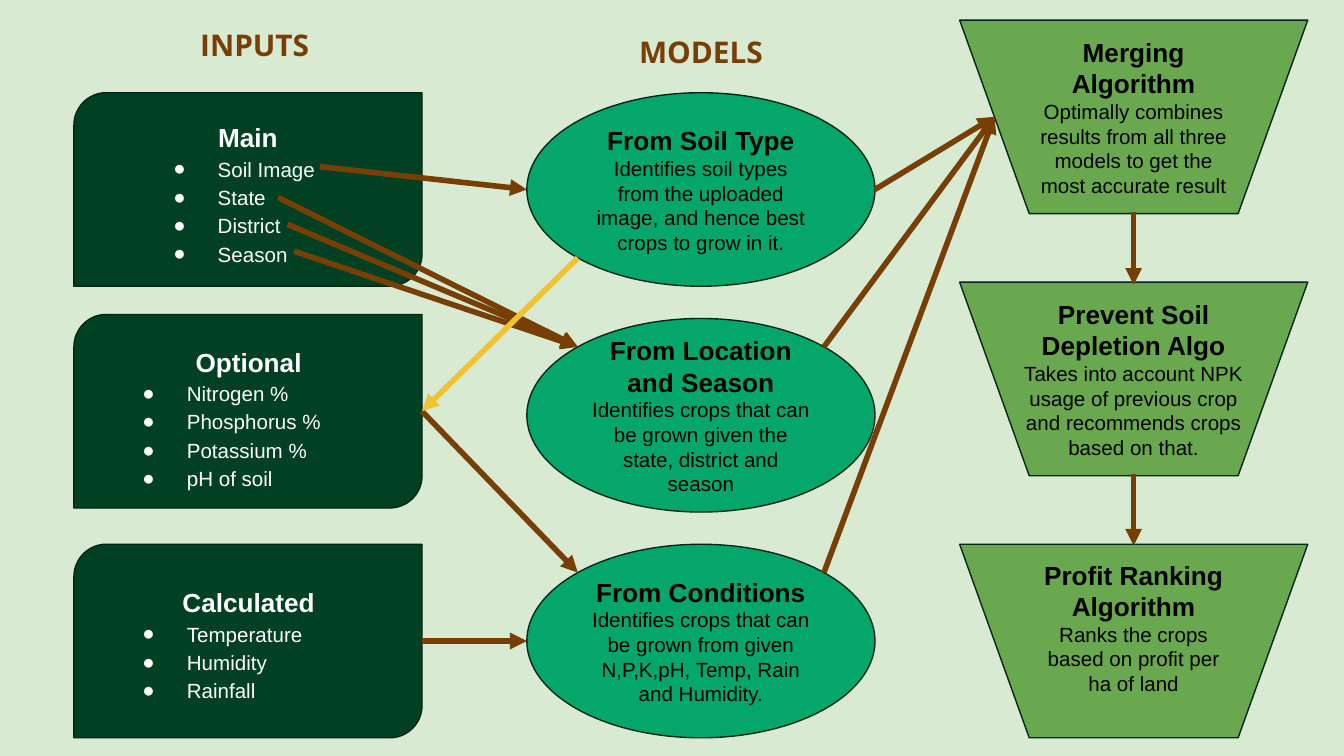
from lxml.etree import SubElement
from pptx import Presentation
from pptx.dml.color import RGBColor
from pptx.enum.shapes import MSO_CONNECTOR, MSO_SHAPE
from pptx.enum.text import MSO_ANCHOR, MSO_AUTO_SIZE, PP_ALIGN
from pptx.oxml.ns import qn
from pptx.util import Inches, Pt

MINT = RGBColor(0xD9, 0xEA, 0xD3)
FOREST = RGBColor(0x01, 0x40, 0x23)
OUTLINE = RGBColor(0x01, 0x26, 0x15)
EMERALD = RGBColor(0x05, 0xA6, 0x6B)
LEAF = RGBColor(0x6A, 0xA8, 0x4F)
BROWN = RGBColor(0x78, 0x3F, 0x04)
GOLD = RGBColor(0xF1, 0xC2, 0x32)
WHITE = RGBColor(0xFF, 0xFF, 0xFF)
BLACK = RGBColor(0, 0, 0)

W, H = 2.59, 1.44
INPUT_X, MODEL_X, ALGO_X = 0.55, 3.92, 7.14
DIAGONAL = (1 - 0.5 ** 0.5) / 2

INPUTS = [
    (0.69, (1.02, 0.77, 1.65, 1.3), 2, "Main",
     ["Soil Image", "State", "District", "Season"]),
    (2.34, (0.79, 2.44, 2.12, 1.3), 4, "Optional",
     ["Nitrogen %", "Phosphorus %", "Potassium %", "pH of soil"]),
    (4.05, (0.79, 4.23, 2.12, 1.08), 3, "Calculated",
     ["Temperature", "Humidity", "Rainfall"]),
]
MODELS = [
    (0.69, "From Soil Type",
     "Identifies soil types from the uploaded image, and hence best crops to grow in it."),
    (2.37, "From Location and Season",
     "Identifies crops that can be grown given the state, district and season"),
    (4.05, "From Conditions",
     "Identifies crops that can be grown from given N,P,K,pH, Temp, Rain and Humidity."),
]
ALGORITHMS = [
    (0.15, (7.6, 0.17, 1.67, 1.41), "Merging Algorithm",
     "Optimally combines results from all three models to get the most accurate result"),
    (2.1, (7.52, 2.12, 1.83, 1.41), "Prevent Soil Depletion Algo",
     "Takes into account NPK usage of previous crop and recommends crops based on that."),
    (4.05, (7.6, 4.06, 1.67, 1.23), "Profit Ranking Algorithm",
     "Ranks the crops based on profit per ha of land"),
]


def add_text(tf, text, size=11, color=BLACK, bold=False, font="Arial",
             bullet=False, spacing=1.0):
    p = tf.paragraphs[0]
    if p.runs:
        p = tf.add_paragraph()
    pPr = p._p.get_or_add_pPr()
    pPr.set("marL", str(Inches(0.5 if bullet else 0)))
    pPr.set("indent", str(Inches(-0.33 if bullet else 0)))
    if bullet:
        clr = SubElement(pPr, qn("a:buClr"))
        SubElement(clr, qn("a:srgbClr"), val=str(color))
        SubElement(pPr, qn("a:buFont"), typeface=font)
        SubElement(pPr, qn("a:buChar"), char="●")
    else:
        SubElement(pPr, qn("a:buNone"))
    p.alignment = PP_ALIGN.LEFT if bullet else PP_ALIGN.CENTER
    p.line_spacing = spacing
    p.space_before = Pt(0)
    r = p.add_run()
    r.text = text
    r.font.name = font
    r.font.size = Pt(size)
    r.font.bold = bold
    r.font.color.rgb = color


def set_frame(sp, anchor=MSO_ANCHOR.TOP, auto_size=MSO_AUTO_SIZE.SHAPE_TO_FIT_TEXT):
    tf = sp.text_frame
    tf.word_wrap = True
    tf.auto_size = auto_size
    tf.vertical_anchor = anchor
    tf.margin_left = tf.margin_right = tf.margin_top = tf.margin_bottom = Inches(0.1)
    return tf


def place(s, sp, box):
    sp.left, sp.top, sp.width, sp.height = (Inches(v) for v in box)
    s.shapes.element.append(sp.element)
    return set_frame(sp)


def add_block(s, kind, x, y, fill):
    sp = s.shapes.add_shape(kind, Inches(x), Inches(y), Inches(W), Inches(H))
    sp.shadow.inherit = False
    sp.fill.solid()
    sp.fill.fore_color.rgb = fill
    sp.line.color.rgb = OUTLINE
    sp.line.width = Pt(0.75)
    return sp


def add_input(s, y, box, idx, title, items):
    add_block(s, MSO_SHAPE.ROUND_2_DIAG_RECTANGLE, INPUT_X, y, FOREST)
    tf = place(s, s.placeholders[idx], box)
    add_text(tf, title, size=14, color=WHITE, bold=True, spacing=1.15)
    for item in items:
        add_text(tf, item, color=WHITE, bullet=True, spacing=1.15)


def add_description(tf, title, body):
    add_text(tf, title, size=14, bold=True)
    add_text(tf, body)


def add_model(s, y, title, body):
    sp = add_block(s, MSO_SHAPE.OVAL, MODEL_X, y, EMERALD)
    add_description(set_frame(sp, MSO_ANCHOR.MIDDLE, MSO_AUTO_SIZE.NONE), title, body)


def add_algorithm(s, y, box, title, body):
    add_block(s, MSO_SHAPE.FLOWCHART_MANUAL_OPERATION, ALGO_X, y, LEAF)
    sp = s.shapes.add_textbox(*(Inches(v) for v in box))
    add_description(set_frame(sp), title, body)
    return sp


def add_arrow(s, start, end, color=BROWN):
    cxn = s.shapes.add_connector(
        MSO_CONNECTOR.STRAIGHT, *(Inches(v) for v in (*start, *end)))
    cxn.line.color.rgb = color
    cxn.line.width = Pt(3)
    SubElement(cxn.line._get_or_add_ln(), qn("a:tailEnd"), type="triangle")
    SubElement(cxn.element.spPr, qn("a:effectLst"))
    return cxn


def add_heading(s, sp, text, x, y):
    tf = place(s, sp, (x, y, W, 0.47))
    add_text(tf, text, size=16, color=BROWN, bold=True, font="Open Sans")


def add_flow(s):
    soil, location, conditions = (row[0] for row in MODELS)
    upper, lower = DIAGONAL * H, (1 - DIAGONAL) * H
    near, far = MODEL_X + DIAGONAL * W, MODEL_X + (1 - DIAGONAL) * W
    optional = (INPUT_X + W, INPUTS[1][0] + H / 2)
    merging = (ALGO_X + W / 10, ALGORITHMS[0][0] + H / 2)

    add_arrow(s, (2.38, 1.24), (MODEL_X, soil + H / 2))
    for start in [(2.07, 1.47), (2.19, 1.87), (2.14, 1.67)]:
        add_arrow(s, start, (near, location + upper))
    add_arrow(s, optional, (near, conditions + upper))
    add_arrow(s, (INPUT_X + W, conditions + H / 2), (MODEL_X, conditions + H / 2))
    add_arrow(s, (near, soil + lower), optional, GOLD)
    add_arrow(s, (MODEL_X + W, soil + H / 2), merging)
    for y in (location, conditions):
        add_arrow(s, (far, y + upper), merging)


def main():
    prs = Presentation()
    prs.slide_width = Inches(10)
    prs.slide_height = prs.slide_width * 9 // 16
    s = prs.slides.add_slide(prs.slide_layouts.get_by_name("Comparison"))
    s.background.fill.solid()
    s.background.fill.fore_color.rgb = MINT

    for row in INPUTS:
        add_input(s, *row)
    for row in MODELS:
        add_model(s, *row)
    steps = [add_algorithm(s, *row) for row in ALGORITHMS]
    add_flow(s)
    add_heading(s, s.shapes.title, "INPUTS", 0.6, 0.1)
    add_heading(s, s.placeholders[1], "MODELS", MODEL_X, 0.15)
    for upper, lower in zip(steps, steps[1:]):
        cxn = add_arrow(s, (0, 0), (0, 0))
        cxn.begin_connect(upper, 2)
        cxn.end_connect(lower, 0)

    prs.save("out.pptx")


if __name__ == "__main__":
    main()
